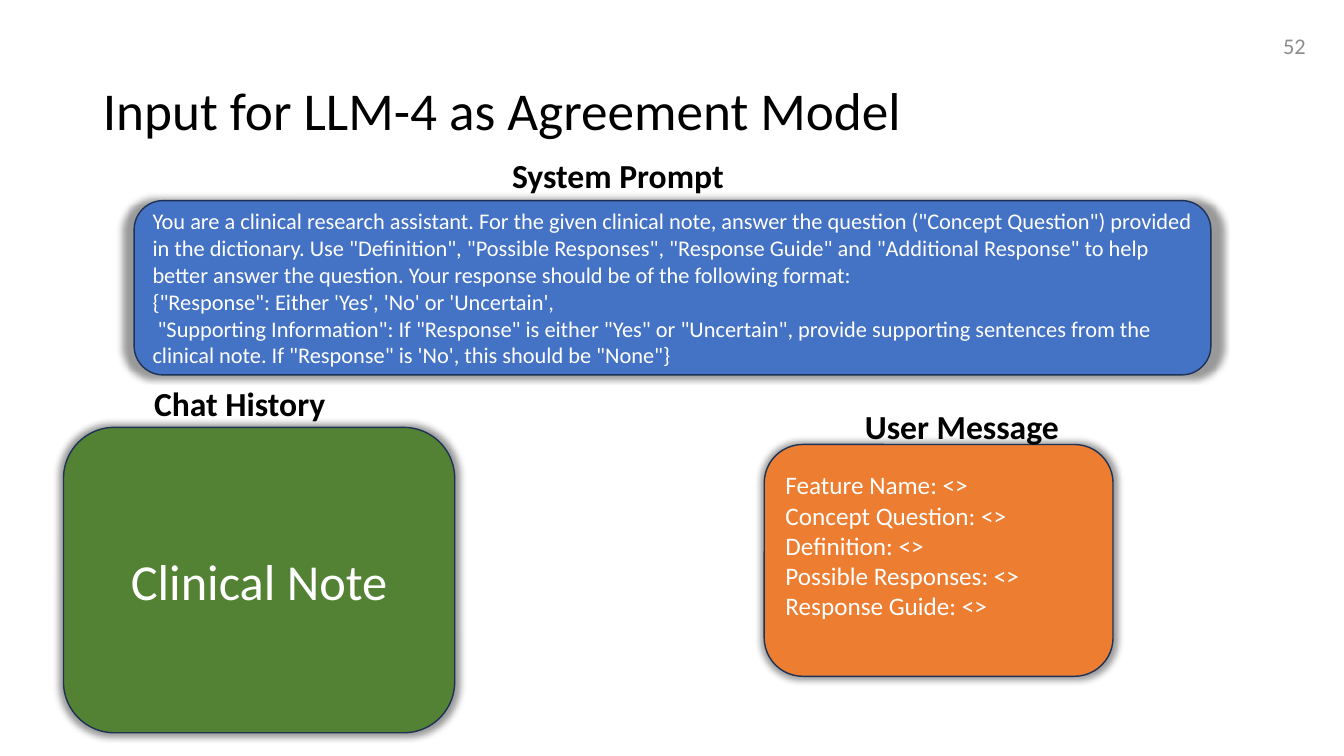
from lxml import etree
from pptx import Presentation
from pptx.dml.color import RGBColor
from pptx.enum.shapes import MSO_SHAPE
from pptx.enum.text import MSO_ANCHOR, MSO_AUTO_SIZE, PP_ALIGN
from pptx.oxml.ns import qn
from pptx.util import Inches, Pt

ROUND = MSO_SHAPE.ROUNDED_RECTANGLE
TOP, MIDDLE = MSO_ANCHOR.TOP, MSO_ANCHOR.MIDDLE
LEFT, CENTER, RIGHT = PP_ALIGN.LEFT, PP_ALIGN.CENTER, PP_ALIGN.RIGHT
FIXED, GROW = MSO_AUTO_SIZE.NONE, MSO_AUTO_SIZE.SHAPE_TO_FIT_TEXT

FONT = "Calibri"
COLORS = {
    "ink": "000000",
    "page": "8C8C8C",
    "white": "FFFFFF",
    "edge": "1E3256",
    "system": "4472C4",
    "history": "548235",
    "user": "ED7D31",
}

PROMPT = [
    'You are a clinical research assistant. For the given clinical note, answer the question '
    '("Concept Question") provided in the dictionary. Use "Definition", "Possible Responses", '
    '"Response Guide" and "Additional Response" to help better answer the question. '
    'Your response should be of the following format:',
    '{"Response": Either \'Yes\', \'No\' or \'Uncertain\',',
    ' "Supporting Information": If "Response" is either "Yes" or "Uncertain", provide supporting '
    'sentences from the clinical note. If "Response" is \'No\', this should be "None"}',
]
FIELDS = ["Feature Name", "Concept Question", "Definition", "Possible Responses", "Response Guide"]


def color(name):
    return RGBColor.from_string(COLORS[name])


def place(shape, box):
    shape.left, shape.top, shape.width, shape.height = map(Inches, box)


def write(shape, lines, size, ink, align=LEFT, anchor=MIDDLE, bold=False, fit=FIXED):
    frame = shape.text_frame
    frame.word_wrap = True
    frame.auto_size = fit
    frame.vertical_anchor = anchor
    for i, line in enumerate(lines):
        para = frame.paragraphs[0] if i == 0 else frame.add_paragraph()
        para.alignment = align
        run = para.add_run()
        run.text = line
        font = run.font
        font.name, font.size, font.bold = FONT, Pt(size), bold
        font.color.rgb = color(ink)
    return frame


def add_glow(shape):
    shape.shadow.inherit = False
    effects = shape._element.spPr.find(qn("a:effectLst"))
    shadow = etree.SubElement(
        effects, qn("a:outerShdw"), blurRad=str(Pt(5)), sx="102000", sy="102000",
        algn="ctr", rotWithShape="0")
    black = etree.SubElement(shadow, qn("a:srgbClr"), val=COLORS["ink"])
    etree.SubElement(black, qn("a:alpha"), val="40000")


def add_title(slide, box, text):
    title = slide.shapes.title
    place(title, box)
    frame = write(title, [text], 38, "ink")
    frame.paragraphs[0].line_spacing = 0.9


def add_label(slide, box, text, size, ink, **style):
    label = slide.shapes.add_textbox(*map(Inches, box))
    write(label, [text], size, ink, **style)


def add_panel(slide, box, head, head_box, fill, lines, size, align=LEFT, foot=0.05):
    left, top, width, height = box
    panel = slide.shapes.add_shape(ROUND, *map(Inches, box))
    panel.fill.solid()
    panel.fill.fore_color.rgb = color(fill)
    panel.line.color.rgb = color("edge")
    panel.line.width = Pt(1)
    add_glow(panel)
    frame = write(panel, lines, size, "white", align)
    frame.margin_bottom = Inches(foot)
    shift, rise, span = head_box
    add_label(slide, (left + shift, top - rise, span, 0.5), head, 24, "ink",
              anchor=TOP, bold=True, fit=GROW)


def main():
    deck = Presentation()
    deck.slide_width, deck.slide_height = Inches(13.33), Inches(7.5)
    slide = deck.slides.add_slide(deck.slide_layouts[5])
    add_title(slide, (0.92, 0.4, 11.5, 1.45), "Input for LLM-4 as Agreement Model")
    add_panel(slide, (1.33, 1.99, 10.68, 1.73), "System Prompt", (3.65, 0.5, 2.78),
              "system", PROMPT, 16)
    add_panel(slide, (0.63, 4.24, 3.88, 3.03), "Chat History", (0.8, 0.49, 2.28),
              "history", ["Clinical Note"], 36, CENTER)
    add_panel(slide, (7.58, 4.41, 3.46, 2.3), "User Message", (0.9, 0.43, 2.28),
              "user", [f"{name}: <>" for name in FIELDS], 18, foot=0.35)
    add_label(slide, (10.05, 0.25, 3, 0.4), "52", 16, "page", align=RIGHT)
    deck.save("out.pptx")


if __name__ == "__main__":
    main()
